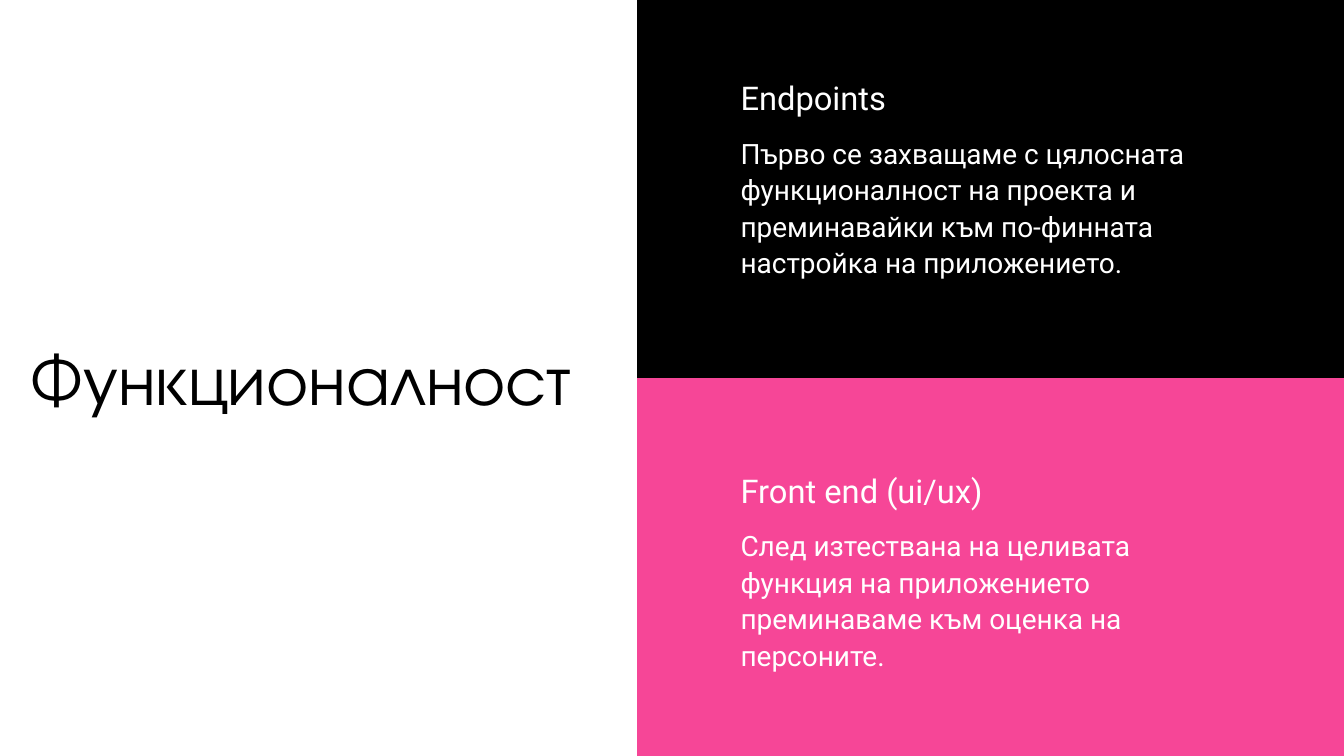
from pptx import Presentation
from pptx.dml.color import RGBColor
from pptx.enum.shapes import MSO_SHAPE
from pptx.enum.text import MSO_ANCHOR, MSO_AUTO_SIZE, PP_ALIGN
from pptx.oxml.ns import qn
from pptx.util import Inches, Pt

SLIDE_WIDTH, SLIDE_HEIGHT = 20, 11.25
PANEL_LEFT = 9.48
PANEL_HEIGHT = SLIDE_HEIGHT / 2
TEXT_LEFT = 11.02
HEADING_TOPS = (1.16, 7)
BODY_OFFSET = 0.83
COMPARISON_LAYOUT = 4
FIRST_SHAPE_INDEX = 2

TITLE = {"name": "TeX Gyre Adventor", "size": 75.5, "spacing": 90.7, "color": "000000"}
HEADING = {"name": "Roboto", "size": 35, "spacing": 42, "color": "FFFFFF"}
BODY = {"name": "Roboto", "size": 30, "spacing": 39, "color": "FFFFFF"}

SECTIONS = [
    ("000000", "Endpoints",
     "Първо се захващаме с цялосната функционалност на проекта и "
     "преминавайки към по-финната настройка на приложението."),
    ("F64697", "Front end (ui/ux)",
     "След изтествана на целивата функция на приложението "
     "преминаваме към оценка на персоните."),
]


def rgb(value):
    return RGBColor.from_string(value)


def set_attributes(target, values):
    for name, value in values.items():
        setattr(target, name, value)


def place(shape, left, top, width, height):
    bounds = {"left": left, "top": top, "width": width, "height": height}
    set_attributes(shape, {name: Inches(value) for name, value in bounds.items()})


def remove_bullet(paragraph):
    properties = paragraph._p.get_or_add_pPr()
    properties.set("marL", "0")
    properties.set("indent", "0")
    properties.append(properties.makeelement(qn("a:buNone"), {}))


def fill_placeholder(shape, text, style, bounds):
    place(shape, *bounds)
    frame = shape.text_frame
    set_attributes(frame, {
        "text": text, "word_wrap": True, "auto_size": MSO_AUTO_SIZE.NONE,
        "vertical_anchor": MSO_ANCHOR.TOP,
        "margin_left": 0, "margin_top": 0, "margin_right": 0, "margin_bottom": 0,
    })
    paragraph = frame.paragraphs[0]
    remove_bullet(paragraph)
    set_attributes(paragraph, {
        "alignment": PP_ALIGN.LEFT, "line_spacing": Pt(style["spacing"]),
        "space_before": Pt(0), "space_after": Pt(0),
    })
    font = paragraph.runs[0].font
    set_attributes(font, {"name": style["name"], "size": Pt(style["size"]), "bold": False})
    font.color.rgb = rgb(style["color"])


def add_panel(slide, top, color):
    panel = slide.shapes.add_shape(MSO_SHAPE.RECTANGLE, 0, 0, 0, 0)
    place(panel, PANEL_LEFT, top, SLIDE_WIDTH - PANEL_LEFT, PANEL_HEIGHT)
    panel.shadow.inherit = False
    panel.fill.solid()
    panel.fill.fore_color.rgb = rgb(color)
    panel.line.fill.background()
    slide.shapes.element.insert(FIRST_SHAPE_INDEX, panel.element)


def add_section(slide, index, color, heading, body):
    add_panel(slide, index * PANEL_HEIGHT, color)
    top = HEADING_TOPS[index]
    heading_shape, body_shape = list(slide.placeholders)[1 + 2 * index:3 + 2 * index]
    fill_placeholder(heading_shape, heading, HEADING, (TEXT_LEFT, top, 7.03, 0.59))
    fill_placeholder(body_shape, body, BODY, (TEXT_LEFT, top + BODY_OFFSET, 6.77, 2.11))


def main():
    presentation = Presentation()
    presentation.slide_width = Inches(SLIDE_WIDTH)
    presentation.slide_height = Inches(SLIDE_HEIGHT)
    slide = presentation.slides.add_slide(presentation.slide_layouts[COMPARISON_LAYOUT])
    fill_placeholder(slide.shapes.title, "Функционалност", TITLE, (0.46, 4.99, 11.08, 1.25))
    for index, section in enumerate(SECTIONS):
        add_section(slide, index, *section)
    presentation.save("out.pptx")


if __name__ == "__main__":
    main()
